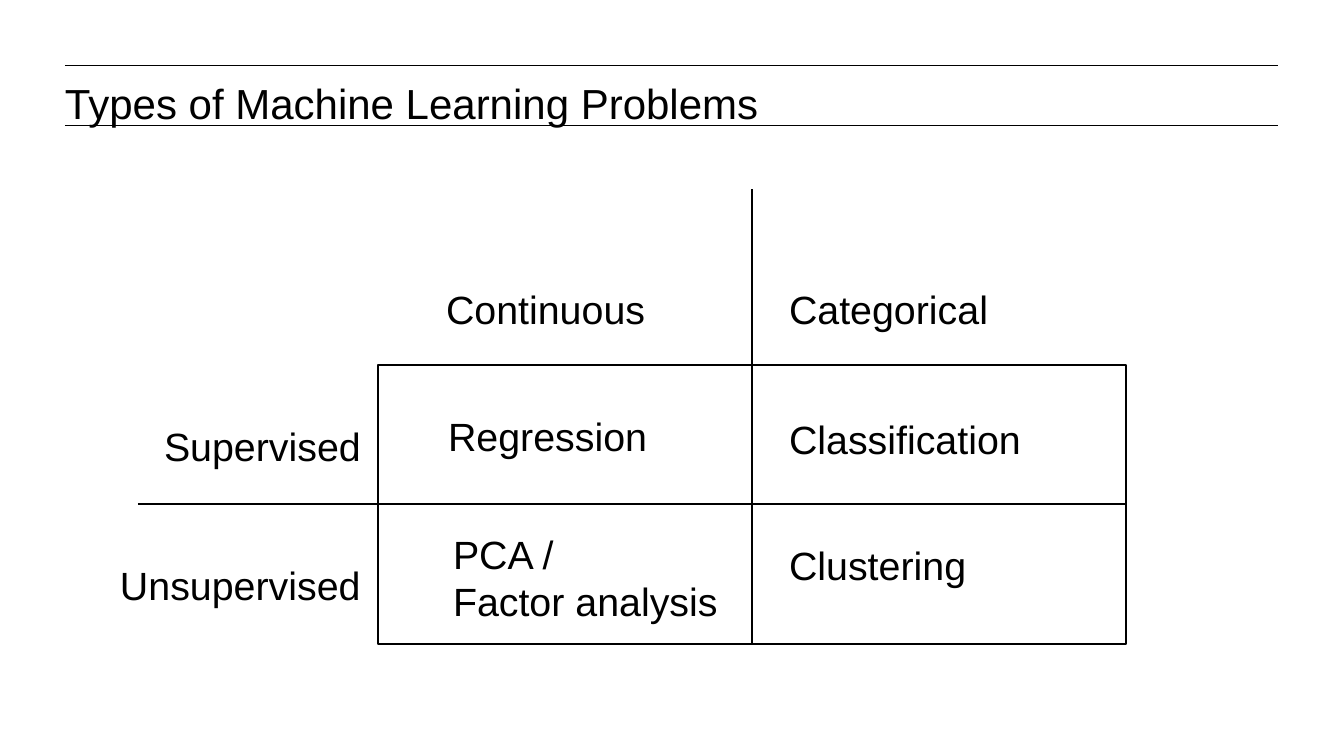
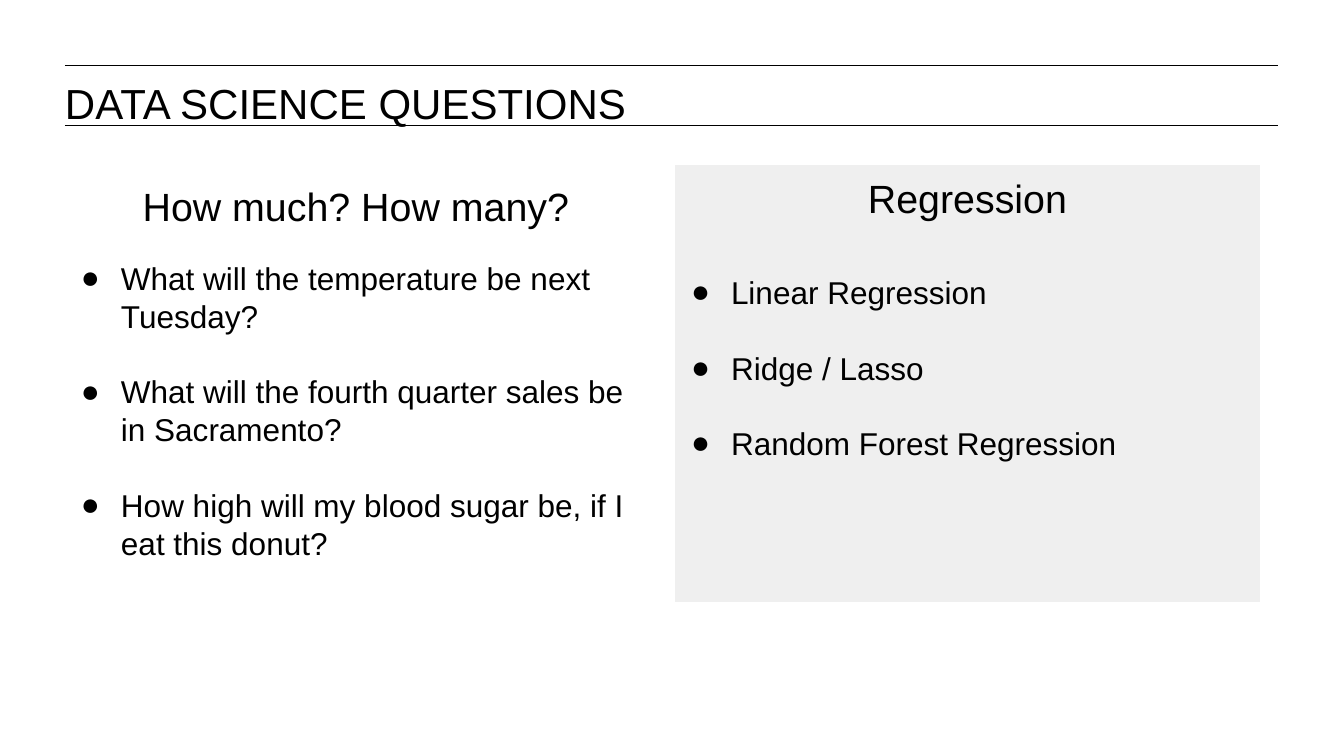
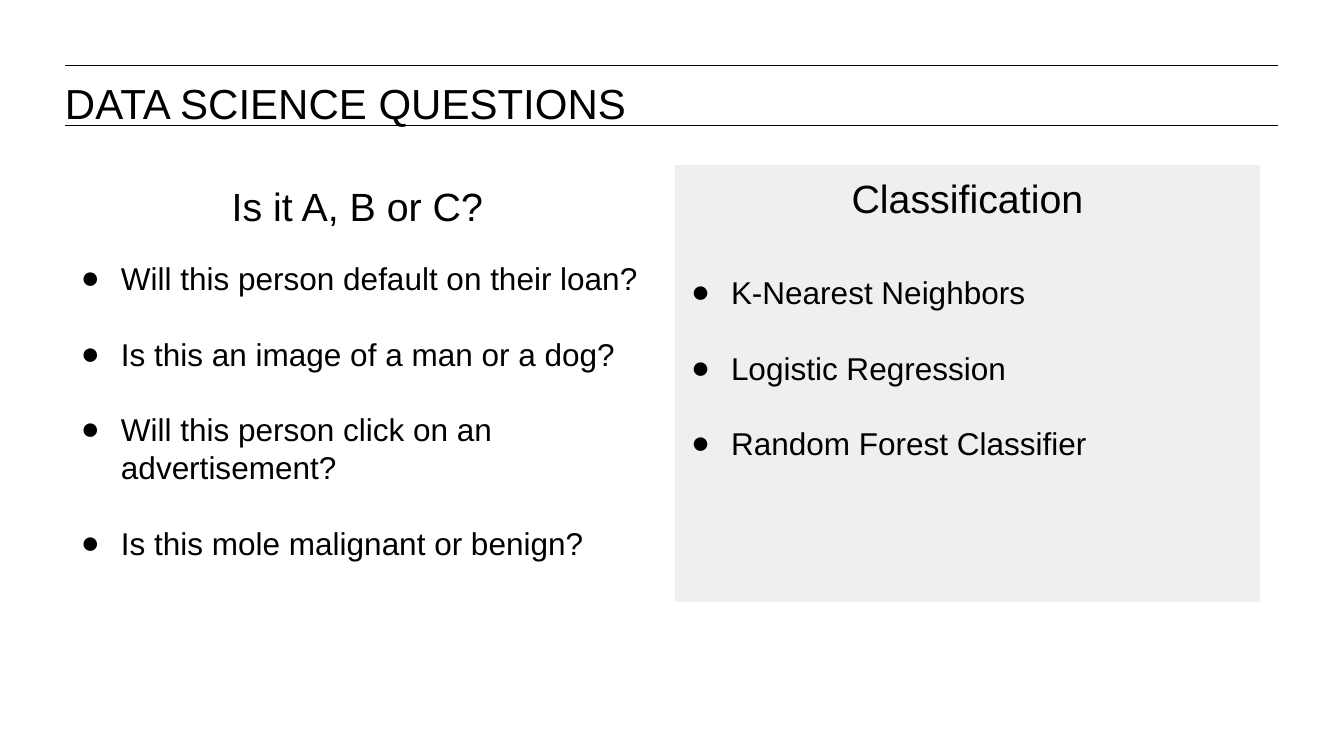
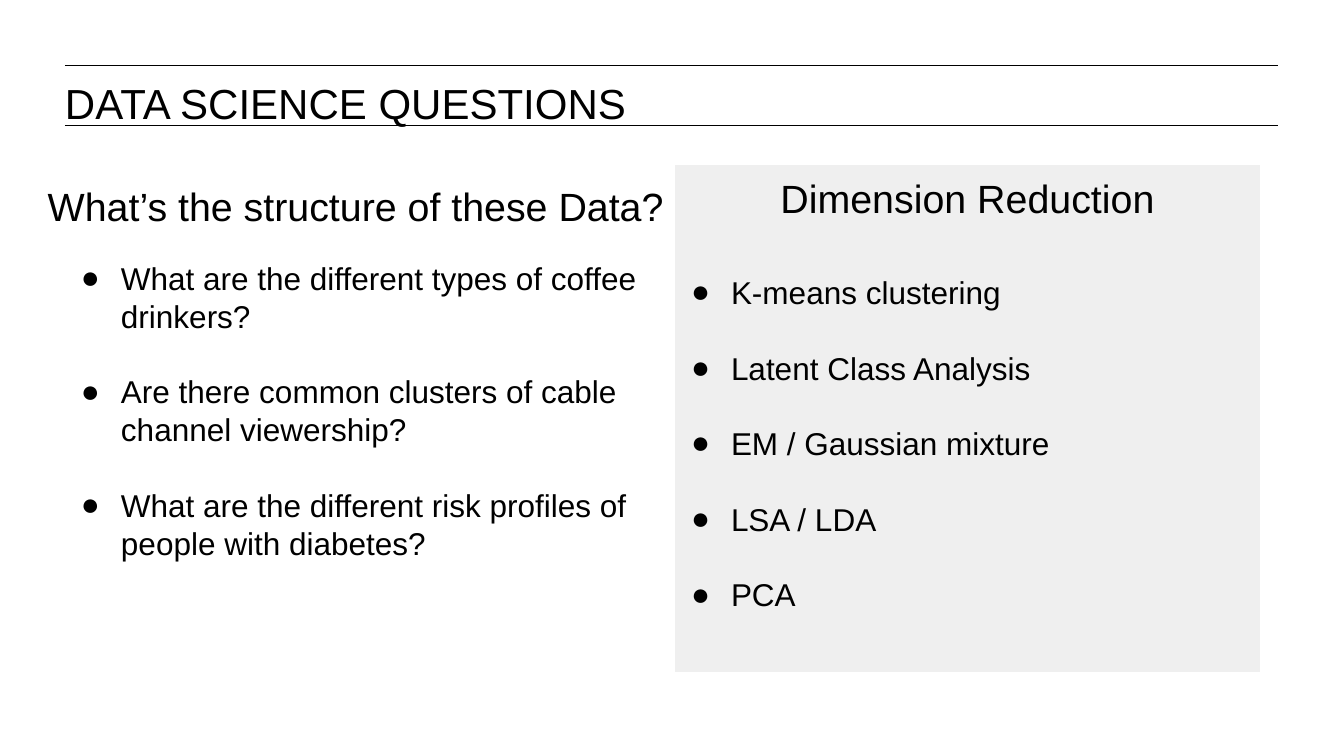
from lxml.etree import SubElement
from pptx import Presentation
from pptx.dml.color import RGBColor
from pptx.enum.shapes import MSO_CONNECTOR as CONNECTOR, MSO_SHAPE as SHAPE
from pptx.enum.text import MSO_ANCHOR as ANCHOR, MSO_AUTO_SIZE as AUTO_SIZE, PP_ALIGN as ALIGN
from pptx.oxml.ns import qn
from pptx.util import Pt

PX = 914400 / 94.5
COLORS = {"ink": "000000", "panel": "EFEFEF"}
FONT = "Arial"
TITLE_SIZE, HEAD_SIZE, LIST_SIZE = 32, 30, 24
LEADING = 1.2
INSET = 9


def draw_line(page, x1, y1, x2, y2, weight):
    ends = [round(value * PX) for value in (x1, y1, x2, y2)]
    line = page.shapes.add_connector(CONNECTOR.STRAIGHT, *ends)
    line.line.color.rgb = RGBColor.from_string(COLORS["ink"])
    line.line.width = Pt(weight)
    SubElement(line.element.spPr, qn("a:effectLst"))
    return line


def write_text(box, place, lines, size, inset=(0, 0), align=ALIGN.LEFT, bullets=False):
    box.left, box.top, box.width, box.height = [round(value * PX) for value in place]
    frame = box.text_frame
    frame.auto_size = AUTO_SIZE.NONE
    frame.word_wrap = True
    frame.vertical_anchor = ANCHOR.TOP
    frame.margin_left = frame.margin_right = round(inset[0] * PX)
    frame.margin_top = frame.margin_bottom = round(inset[1] * PX)
    for number, line in enumerate(lines):
        para = frame.paragraphs[0] if number == 0 else frame.add_paragraph()
        para.alignment = align
        para.line_spacing = Pt(size * LEADING)
        para.space_before = Pt(0)
        para.space_after = Pt(size * LEADING if bullets else 0)
        props = para._p.get_or_add_pPr()
        props.set("marL", str(round(47 * PX) if bullets else 0))
        props.set("indent", str(round(-40 * PX) if bullets else 0))
        if bullets:
            SubElement(props, qn("a:buFont"), typeface=FONT)
            SubElement(props, qn("a:buChar"), char="●")
        else:
            SubElement(props, qn("a:buNone"))
        span = para.add_run()
        span.text = line
        span.font.name = FONT
        span.font.size = Pt(size)
        span.font.bold = False
        span.font.color.rgb = RGBColor.from_string(COLORS["ink"])


deck = Presentation()
deck.slide_width, deck.slide_height = round(1344 * PX), round(755 * PX)
TITLE_ONLY, COMPARISON = deck.slide_layouts[5], deck.slide_layouts[4]
TITLE_PLACE = (65, 77, 1213, 44)

# Problem types: grid of lines with labels
page = deck.slides.add_slide(TITLE_ONLY)
write_text(page.shapes.title, TITLE_PLACE, ["Types of Machine Learning Problems"], TITLE_SIZE)

# Rules above and below the title, shared through the master
for y in (65, 126):
    rule = draw_line(page, 65, y, 1278, y, 0.75)
    deck.slide_master.shapes.element.append(rule.element)

grid = page.shapes.add_shape(SHAPE.RECTANGLE, *[round(v * PX) for v in (378, 365, 748, 279)])
grid.shadow.inherit = False
grid.fill.background()
grid.line.color.rgb = RGBColor.from_string(COLORS["ink"])
grid.line.width = Pt(2.25)
draw_line(page, 138, 504, 1126, 504, 2.25)
draw_line(page, 752, 189, 752, 644, 2.25)

labels = [
    (437, 280, ["Continuous"]),
    (780, 280, ["Categorical"]),
    (155, 417, ["Supervised"]),
    (111, 556, ["Unsupervised"]),
    (439, 407, ["Regression"]),
    (780, 410, ["Classification"]),
    (780, 536, ["Clustering"]),
    (444, 525, ["PCA /", "Factor analysis"]),
]
for x, y, lines in labels:
    box = page.shapes.add_textbox(0, 0, 0, 0)
    write_text(box, (x, y, 290, 10 + 47 * len(lines)), lines, HEAD_SIZE, (INSET, 5))

# Question slides: questions on the left, methods on a grey panel
WIDE, NARROW = (21, 670), (65, 585)
questions = [
    ("How much? How many?", WIDE,
     ["What will the temperature be next Tuesday?",
      "What will the fourth quarter sales be in Sacramento?",
      "How high will my blood sugar be, if I eat this donut?"],
     "Regression", 338,
     ["Linear Regression", "Ridge / Lasso", "Random Forest Regression"]),
    ("Is it A, B or C?", NARROW,
     ["Will this person default on their loan?",
      "Is this an image of a man or a dog?",
      "Will this person click on an advertisement?",
      "Is this mole malignant or benign?"],
     "Classification", 338,
     ["K-Nearest Neighbors", "Logistic Regression", "Random Forest Classifier"]),
    ("What’s the structure of these Data?", WIDE,
     ["What are the different types of coffee drinkers?",
      "Are there common clusters of cable channel viewership?",
      "What are the different risk profiles of people with diabetes?"],
     "Dimension Reduction", 408,
     ["K-means clustering", "Latent Class Analysis", "EM / Gaussian mixture",
      "LSA / LDA", "PCA"]),
]
for question, (head_left, head_width), examples, family, panel_height, methods in questions:
    page = deck.slides.add_slide(COMPARISON)
    title, question_box, example_box, family_box, method_box = page.placeholders
    write_text(title, TITLE_PLACE, ["DATA SCIENCE QUESTIONS"], TITLE_SIZE)
    heads = [
        (question_box, (head_left, 173, head_width, 98), question),
        (family_box, (675, 165, 585, 99), family),
    ]
    for box, place, text in heads:
        write_text(box, place, [text], HEAD_SIZE, (INSET, INSET), ALIGN.CENTER)
    lists = [
        (example_box, (65, 250, 585, 406), examples),
        (method_box, (675, 264, 585, panel_height), methods),
    ]
    for box, place, lines in lists:
        write_text(box, place, lines, LIST_SIZE, (INSET, INSET), bullets=True)
    for box in (family_box, method_box):
        box.fill.solid()
        box.fill.fore_color.rgb = RGBColor.from_string(COLORS["panel"])

deck.save("out.pptx")
